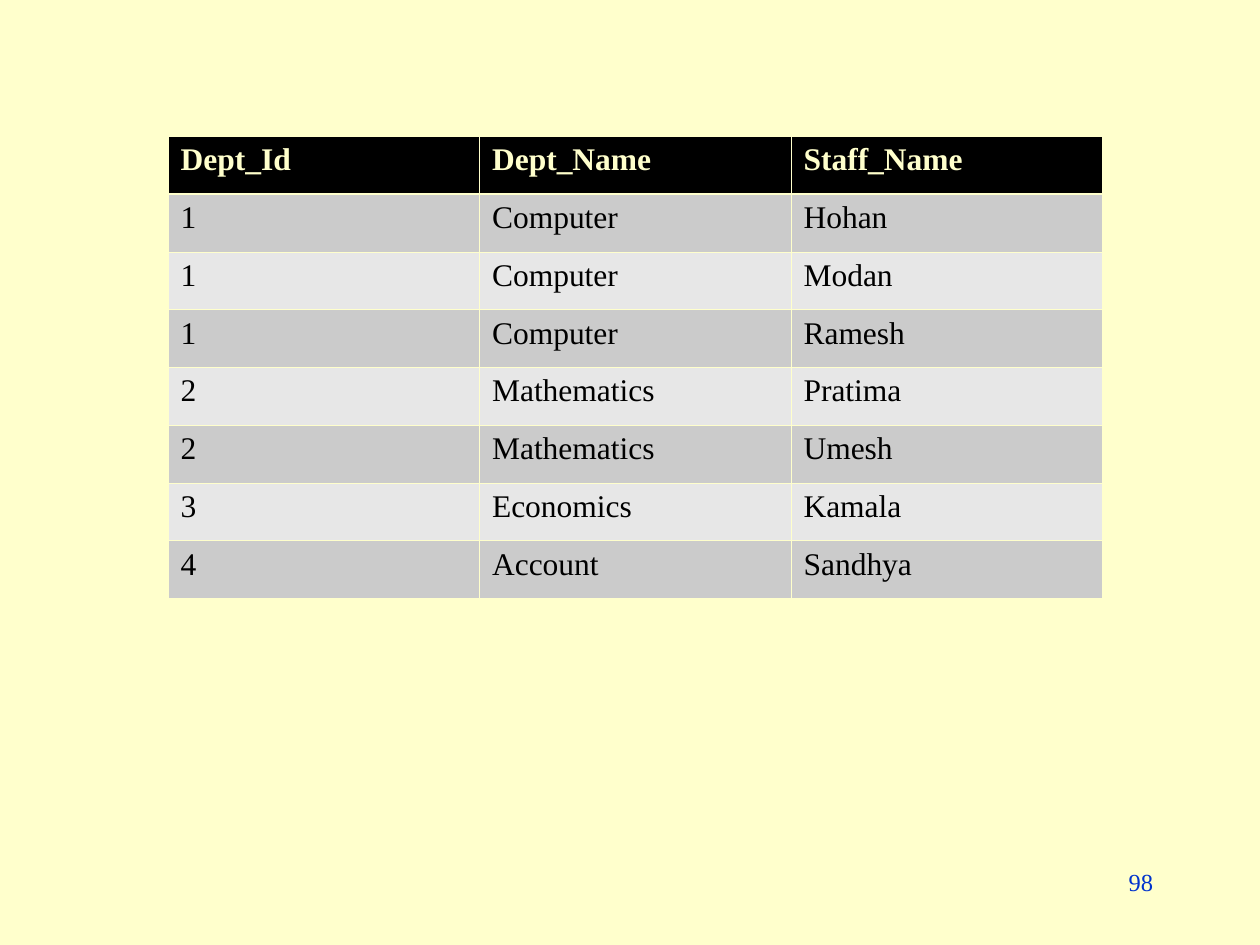
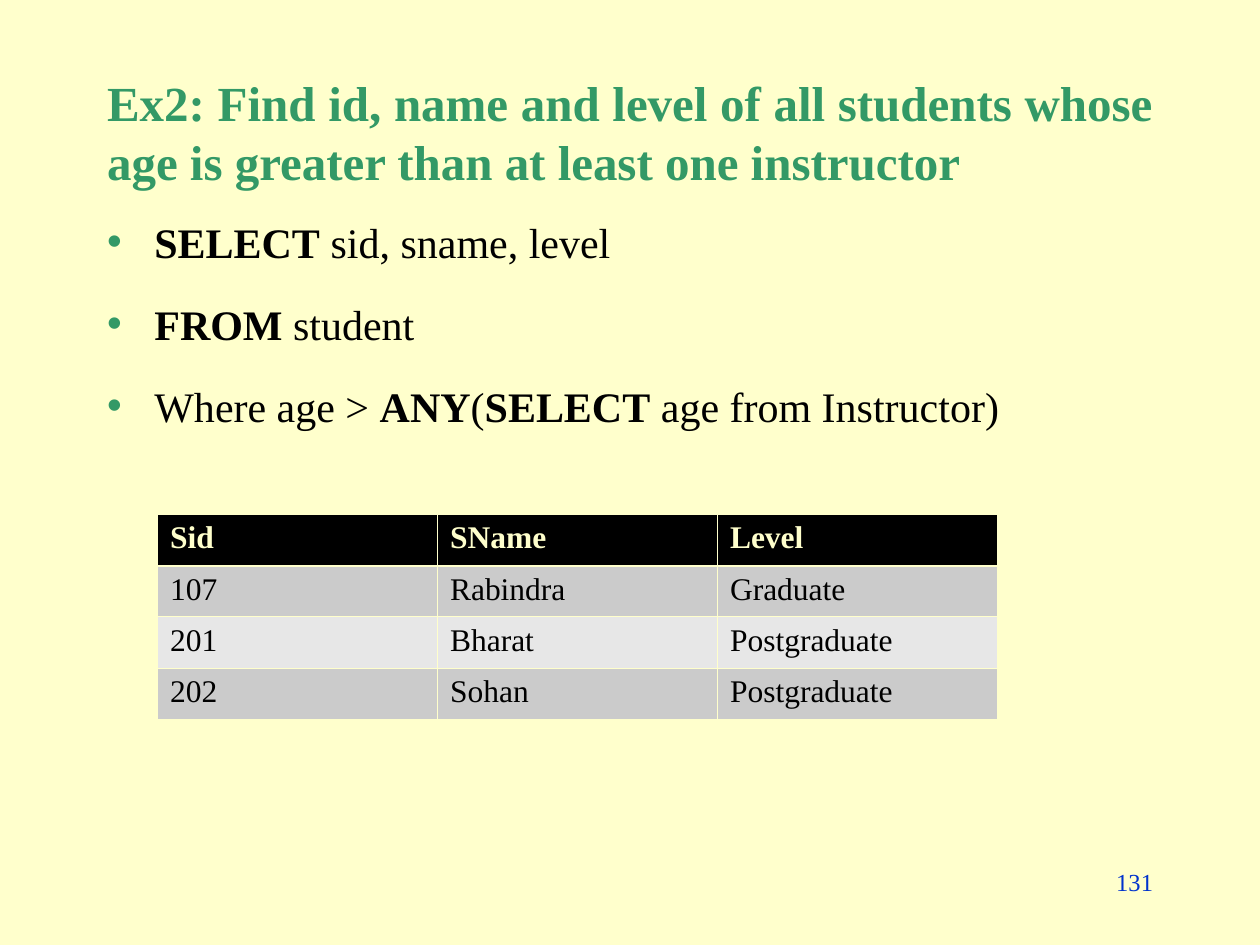
from lxml import etree
from pptx import Presentation
from pptx.dml.color import RGBColor
from pptx.enum.text import MSO_ANCHOR, MSO_AUTO_SIZE, PP_ALIGN
from pptx.oxml.ns import qn
from pptx.util import Pt

PX = 7620  # EMU per px, 120 px to the inch
FONT = "Times New Roman"

CREAM = RGBColor(0xFF, 0xFF, 0xCC)
BLACK = RGBColor(0x00, 0x00, 0x00)
DARK_BAND = RGBColor(0xCB, 0xCB, 0xCB)
LIGHT_BAND = RGBColor(0xE7, 0xE7, 0xE7)
GREEN = RGBColor(0x33, 0x99, 0x66)
BLUE = RGBColor(0x00, 0x33, 0xCC)

TITLE_BOX = (90, 80, 1020, 90)
LIST_BOX = (90, 200, 1020, 600)
NUMBER_BOX = (860, 820, 250, 60)
BULLET_INDENT = 45
THIN, THICK = Pt(0.45), Pt(1.47)

DEPARTMENT_STAFF = [
    ("Dept_Id", "Dept_Name", "Staff_Name"),
    ("1", "Computer", "Hohan"),
    ("1", "Computer", "Modan"),
    ("1", "Computer", "Ramesh"),
    ("2", "Mathematics", "Pratima"),
    ("2", "Mathematics", "Umesh"),
    ("3", "Economics", "Kamala"),
    ("4", "Account", "Sandhya"),
]
STUDENTS = [
    ("Sid", "SName", "Level"),
    ("107", "Rabindra", "Graduate"),
    ("201", "Bharat", "Postgraduate"),
    ("202", "Sohan", "Postgraduate"),
]
QUERY_TITLE = ("Ex2: Find id, name and level of all students whose "
               "age is greater than at least one instructor")
QUERY_LINES = [
    "*SELECT* sid, sname, level",
    "*FROM* student",
    "Where age > *ANY*(*SELECT* age from Instructor)",
]


def to_emu(box):
    return [length * PX for length in box]


def set_font(paragraph, size, color, bold=None):
    font = paragraph.font
    font.name, font.size, font.bold = FONT, Pt(size), bold
    font.color.rgb = color


def place(shape, box):
    shape.left, shape.top, shape.width, shape.height = to_emu(box)
    shape.text_frame.auto_size = MSO_AUTO_SIZE.NONE


def add_title(slide, text, box):
    title = slide.shapes.title
    place(title, box)
    title.text_frame.vertical_anchor = MSO_ANCHOR.MIDDLE
    paragraph = title.text_frame.paragraphs[0]
    paragraph.text = text
    paragraph.alignment = PP_ALIGN.JUSTIFY
    set_font(paragraph, 28, GREEN, bold=True)


def set_bullet(paragraph):
    properties = paragraph._p.get_or_add_pPr()
    properties.set("marL", str(BULLET_INDENT * PX))
    properties.set("indent", str(-BULLET_INDENT * PX))
    color = etree.SubElement(properties, qn("a:buClr"))
    etree.SubElement(color, qn("a:srgbClr"), val=str(GREEN))
    etree.SubElement(properties, qn("a:buChar"), char="•")


def add_query_list(slide, lines, box):
    """Fill the body placeholder; words between asterisks are bold."""
    body = slide.placeholders[1]
    place(body, box)
    frame = body.text_frame
    for index, line in enumerate(lines):
        paragraph = frame.add_paragraph() if index else frame.paragraphs[0]
        paragraph.space_before = Pt(18)
        set_bullet(paragraph)
        set_font(paragraph, 24, BLACK)
        for position, text in enumerate(line.split("*")):
            if text:
                run = paragraph.add_run()
                run.text = text
                run.font.bold = position % 2 == 1


def add_number(slide, number, box):
    text_box = slide.shapes.add_textbox(*to_emu(box))
    text_box.text_frame.word_wrap = True
    paragraph = text_box.text_frame.paragraphs[0]
    paragraph.text = str(number)
    paragraph.alignment = PP_ALIGN.RIGHT
    set_font(paragraph, 14, BLUE)


def set_borders(cell, top, bottom):
    properties = cell._tc.get_or_add_tcPr()
    sides = {"a:lnL": THIN, "a:lnR": THIN, "a:lnT": top, "a:lnB": bottom}
    for index, (tag, width) in enumerate(sides.items()):
        line = etree.Element(qn(tag), w=str(int(width)))
        fill = etree.SubElement(line, qn("a:solidFill"))
        etree.SubElement(fill, qn("a:srgbClr"), val=str(CREAM))
        properties.insert(index, line)


def add_banded_table(slide, rows, box):
    left, top, width, height = to_emu(box)
    table = slide.shapes.add_table(
        len(rows), len(rows[0]), left, top, width, height).table
    for row_index, values in enumerate(rows):
        is_header = row_index == 0
        band = DARK_BAND if row_index % 2 else LIGHT_BAND
        for column_index, text in enumerate(values):
            cell = table.cell(row_index, column_index)
            cell.fill.solid()
            cell.fill.fore_color.rgb = BLACK if is_header else band
            set_borders(cell, top=THICK if row_index == 1 else THIN,
                        bottom=THICK if is_header else THIN)
            paragraph = cell.text_frame.paragraphs[0]
            paragraph.text = text
            set_font(paragraph, 18, CREAM if is_header else BLACK, is_header)


def add_table_slide(presentation):
    slide = presentation.slides.add_slide(presentation.slide_layouts[6])
    add_number(slide, 98, NUMBER_BOX)
    add_banded_table(slide, DEPARTMENT_STAFF, (160, 130, 890, 440))


def add_query_slide(presentation):
    slide = presentation.slides.add_slide(presentation.slide_layouts[1])
    add_title(slide, QUERY_TITLE, TITLE_BOX)
    add_query_list(slide, QUERY_LINES, LIST_BOX)
    add_number(slide, 131, NUMBER_BOX)
    add_banded_table(slide, STUDENTS, (150, 490, 800, 195))


def main():
    presentation = Presentation()
    presentation.slide_width, presentation.slide_height = to_emu((1200, 900))
    background = presentation.slide_master.background.fill
    background.solid()
    background.fore_color.rgb = CREAM
    add_table_slide(presentation)
    add_query_slide(presentation)
    presentation.save("out.pptx")


if __name__ == "__main__":
    main()
